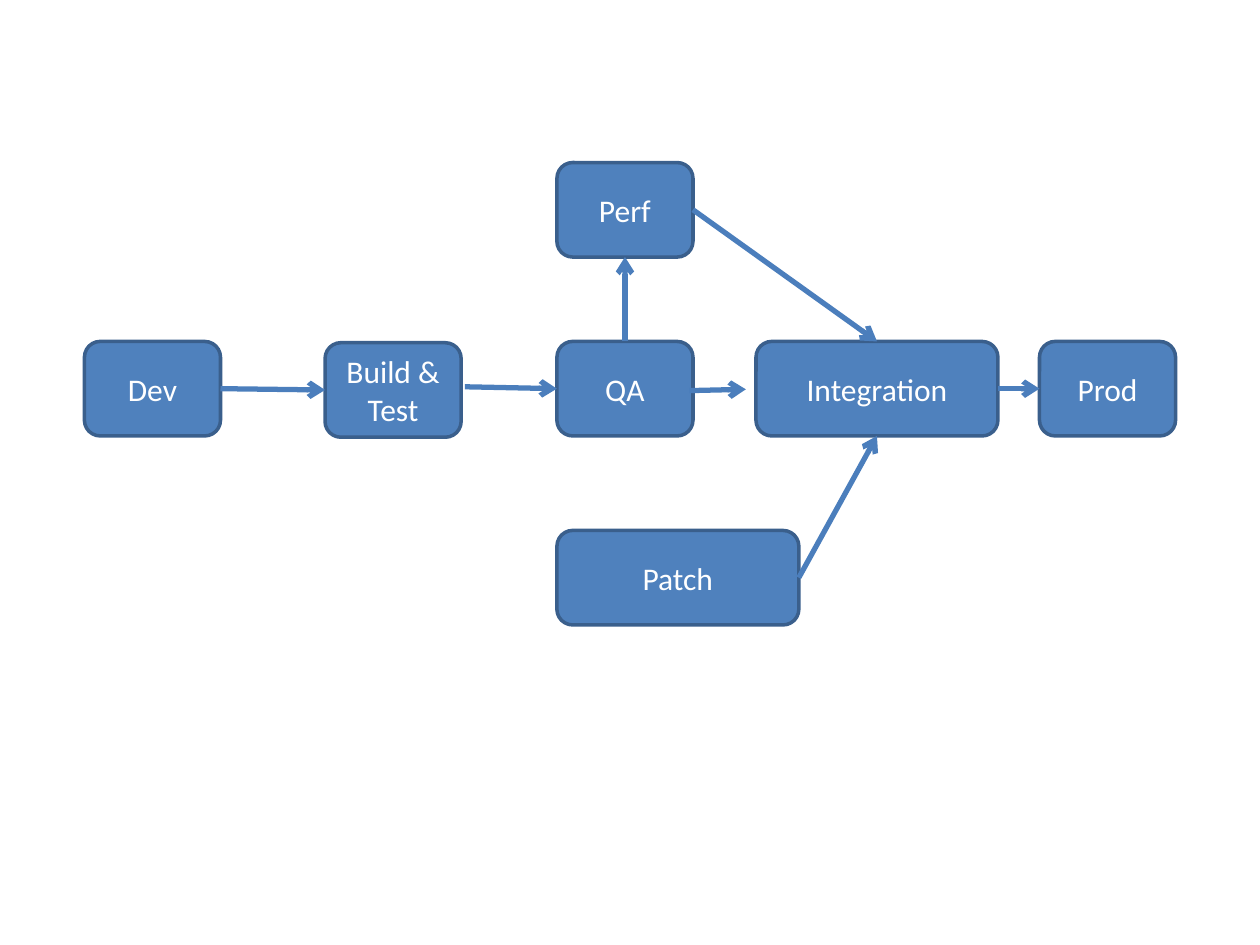
from lxml import etree
from pptx import Presentation
from pptx import util as u
from pptx.dml.color import RGBColor
from pptx.enum import shapes, text
from pptx.oxml.ns import qn

TOP, LEFT, BOTTOM, RIGHT = range(4)
NARROW, WIDE, HEIGHT = 1.08, 1.92, 0.75
MAIN_ROW = 2.71

STAGES = [
    ("Dev", 0.67, MAIN_ROW, NARROW),
    ("Build & Test", 2.58, 2.72, NARROW),
    ("QA", 4.42, MAIN_ROW, NARROW),
    ("Perf", 4.42, 1.29, NARROW),
    ("Prod", 8.25, MAIN_ROW, NARROW),
    ("Integration", 6, MAIN_ROW, WIDE),
    ("Patch", 4.42, 4.21, WIDE),
]

FLOWS = [
    (("Dev", RIGHT), ("Build & Test", LEFT)),
    ((3.69, 3.07), ("QA", LEFT)),
    ((5.47, 3.1), (5.92, 3.09)),
    (("QA", TOP), ("Perf", BOTTOM)),
    (("Perf", RIGHT), ("Integration", TOP)),
    (("Patch", RIGHT), ("Integration", BOTTOM)),
    (("Integration", RIGHT), ("Prod", LEFT)),
]


def color(value):
    return RGBColor.from_string(value)


def add_stage(s, label, x, y, w, h):
    sp = s.shapes.add_shape(shapes.MSO_SHAPE.ROUNDED_RECTANGLE,
                            u.Inches(x), u.Inches(y), u.Inches(w), u.Inches(h))
    sp.shadow.inherit = False
    sp.fill.solid()
    sp.fill.fore_color.rgb = color("4F81BD")
    sp.line.color.rgb = color("3A5F8C")
    sp.line.width = u.Pt(2)
    tf = sp.text_frame
    tf.word_wrap = True
    tf.vertical_anchor = text.MSO_ANCHOR.MIDDLE
    p = tf.paragraphs[0]
    p.text = label
    p.alignment = text.PP_ALIGN.CENTER
    p.font.name = "Calibri"
    p.font.size = u.Pt(18)
    p.font.color.rgb = color("FFFFFF")
    return sp


def add_flow(s, stages, start, end):
    points = [(0, 0) if a[0] in stages else a for a in (start, end)]
    line = s.shapes.add_connector(shapes.MSO_CONNECTOR.STRAIGHT,
                                  *(u.Inches(v) for pt in points for v in pt))
    for anchor, connect in ((start, line.begin_connect), (end, line.end_connect)):
        if anchor[0] in stages:
            connect(stages[anchor[0]], anchor[1])
    line.line.color.rgb = color("4B7EBC")
    line.line.width = u.Pt(3)
    etree.SubElement(line.line._get_or_add_ln(), qn("a:tailEnd"), type="arrow")
    etree.SubElement(line._element.spPr, qn("a:effectLst"))


def add_pipeline(s):
    stages = {label: add_stage(s, label, x, y, w, HEIGHT)
              for label, x, y, w in STAGES}
    for start, end in FLOWS:
        add_flow(s, stages, start, end)


def main():
    prs = Presentation()
    prs.slide_width, prs.slide_height = u.Inches(10), u.Inches(7.5)
    s = prs.slides.add_slide(prs.slide_layouts[6])
    add_pipeline(s)
    prs.save("out.pptx")


if __name__ == "__main__":
    main()
